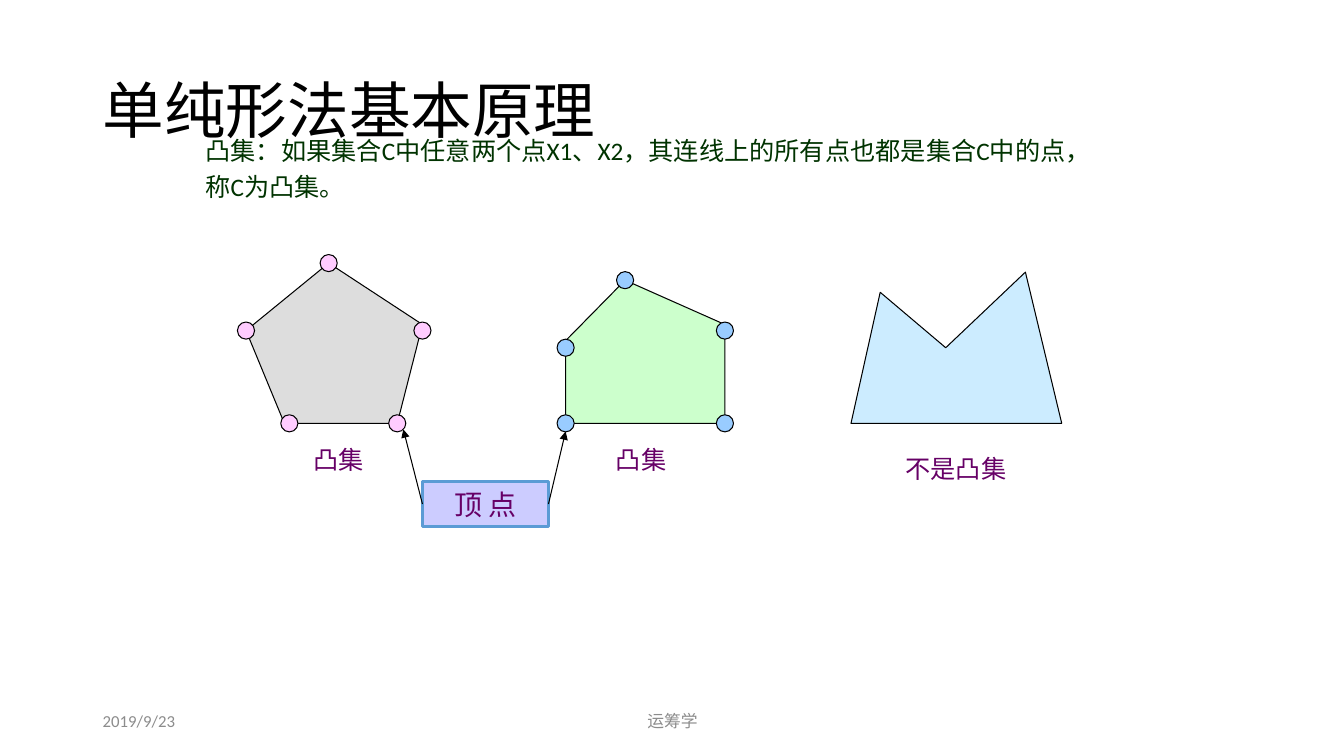
from dataclasses import dataclass
from pptx import Presentation, util as u
from pptx.dml.color import RGBColor
from pptx.enum import shapes, text
from pptx.oxml import parse_xml
from pptx.oxml.ns import nsdecls, qn

LEFT, MID = text.PP_ALIGN.LEFT, text.PP_ALIGN.CENTER
TOP, HALF = text.MSO_ANCHOR.TOP, text.MSO_ANCHOR.MIDDLE


@dataclass(frozen=True)
class Theme:
    font: str = "Calibri"
    ink: str = "000000"
    muted: str = "8C8C8C"
    body: str = "003300"
    label: str = "660066"
    gray: str = "DDDDDD"
    green: str = "CCFFCC"
    sky: str = "CCECFF"
    pink: str = "FFCCFF"
    blue: str = "99CCFF"
    tag: str = "CCCCFF"
    edge: str = "5B9BD5"
    title: int = 44
    mark: int = 20
    text: int = 18
    foot: int = 12
    thin: float = 0.75
    thick: float = 2.25


class Board:
    cell = u.Inches(0.1)

    def __init__(self, slide, theme):
        self.items = slide.shapes
        self.theme = theme

    def grid(self, *vals):
        return [round(v * self.cell) for v in vals]

    def paint(self, item, fill, line, width):
        item.shadow.inherit = False
        item.fill.solid()
        item.fill.fore_color.rgb = RGBColor.from_string(fill)
        item.line.color.rgb = RGBColor.from_string(line)
        item.line.width = u.Pt(width)

    def letter(self, item, words, size, color, align, anchor, space=None):
        frame = item.text_frame
        frame.word_wrap = True
        frame.vertical_anchor = anchor
        para = frame.paragraphs[0]
        para.text = words
        para.alignment = align
        para.line_spacing = space
        para.font.name = self.theme.font
        para.font.size = u.Pt(size)
        para.font.color.rgb = RGBColor.from_string(color)

    def note(self, box, words, size, color, align=LEFT, anchor=TOP, space=None):
        item = self.items.add_textbox(*self.grid(*box))
        self.letter(item, words, size, color, align, anchor, space)

    def poly(self, points, fill):
        spots = [self.grid(*p) for p in points]
        pen = self.items.build_freeform(*spots[0])
        pen.add_line_segments(spots[1:], close=True)
        self.paint(pen.convert_to_shape(), fill, self.theme.ink, self.theme.thin)

    def dot(self, x, y, fill, size=1.7):
        box = self.grid(x - size / 2, y - size / 2, size, size)
        item = self.items.add_shape(shapes.MSO_SHAPE.OVAL, *box)
        self.paint(item, fill, self.theme.ink, self.theme.thin)

    def tag(self, box, words):
        t = self.theme
        item = self.items.add_shape(shapes.MSO_SHAPE.RECTANGLE, *self.grid(*box))
        self.paint(item, t.tag, t.edge, t.thick)
        self.letter(item, words, t.mark, t.label, MID, HALF)
        return item

    def arrow(self, start, side, end):
        spot = self.grid(*end)
        link = self.items.add_connector(shapes.MSO_CONNECTOR.STRAIGHT, *spot, *spot)
        link.begin_connect(start, side)
        link.line.color.rgb = RGBColor.from_string(self.theme.ink)
        link.line.width = u.Pt(self.theme.thin)
        props = link._element.spPr
        head = parse_xml(f'<a:tailEnd {nsdecls("a")} type="triangle"/>')
        props.find(qn("a:ln")).append(head)
        props.append(parse_xml(f'<a:effectLst {nsdecls("a")}/>'))


def main():
    deck = Presentation()
    deck.slide_width, deck.slide_height = u.Inches(13.33), u.Inches(7.5)
    t = Theme()
    board = Board(deck.slides.add_slide(deck.slide_layouts[6]), t)

    board.note((9.2, 69.5, 30, 4), "2019/9/23", t.foot, t.muted, anchor=HALF)
    board.note((44.2, 69.5, 45, 4), "运筹学", t.foot, t.muted, MID, HALF)
    board.note((9.2, 4, 115, 14.5), "单纯形法基本原理", t.title, t.ink,
               anchor=HALF, space=0.9)
    board.note((19.4, 12.3, 91.3, 8.3),
               "凸集：如果集合C中任意两个点X1、X2，其连线上的所有点也都是集合C中的点，称C为凸集。",
               t.text, t.body, space=1.2)

    base = 42
    sets = [
        (t.gray, [(24.4, 32.8), (32.6, 26.1), (41.9, 32.2), (39.4, base), (28.2, base)]),
        (t.green, [(56.1, 33.8), (62, 27.8), (71.9, 32.2), (71.9, base), (56.1, base)]),
        (t.sky, [(84.4, base), (87.3, 29), (93.8, 34.5), (101.7, 27), (105.3, base)]),
    ]
    for fill, points in sets:
        board.poly(points, fill)

    tips = [
        (t.pink, [(24.4, 32.8), (32.6, 26.1), (41.9, 32.8), (39.4, base), (28.7, base)]),
        (t.blue, [(56.1, 34.5), (62, 27.8), (71.9, 32.8), (71.9, base), (56.1, base)]),
    ]
    for fill, points in tips:
        for x, y in points:
            board.dot(x, y, fill)

    for x, y, wide, words in [(26.9, 43.6, 13.3, "凸集"), (56.1, 43.6, 15, "凸集"),
                              (86.9, 44.5, 15.8, "不是凸集")]:
        board.note((x, y, wide, 4), words, t.text, t.label, MID)

    apex = board.tag((41.9, 47.8, 12.5, 4.4), "顶 点")
    board.arrow(apex, 1, (40, 42.6))
    board.arrow(apex, 3, (56.1, 42.8))

    deck.save("out.pptx")


if __name__ == "__main__":
    main()
